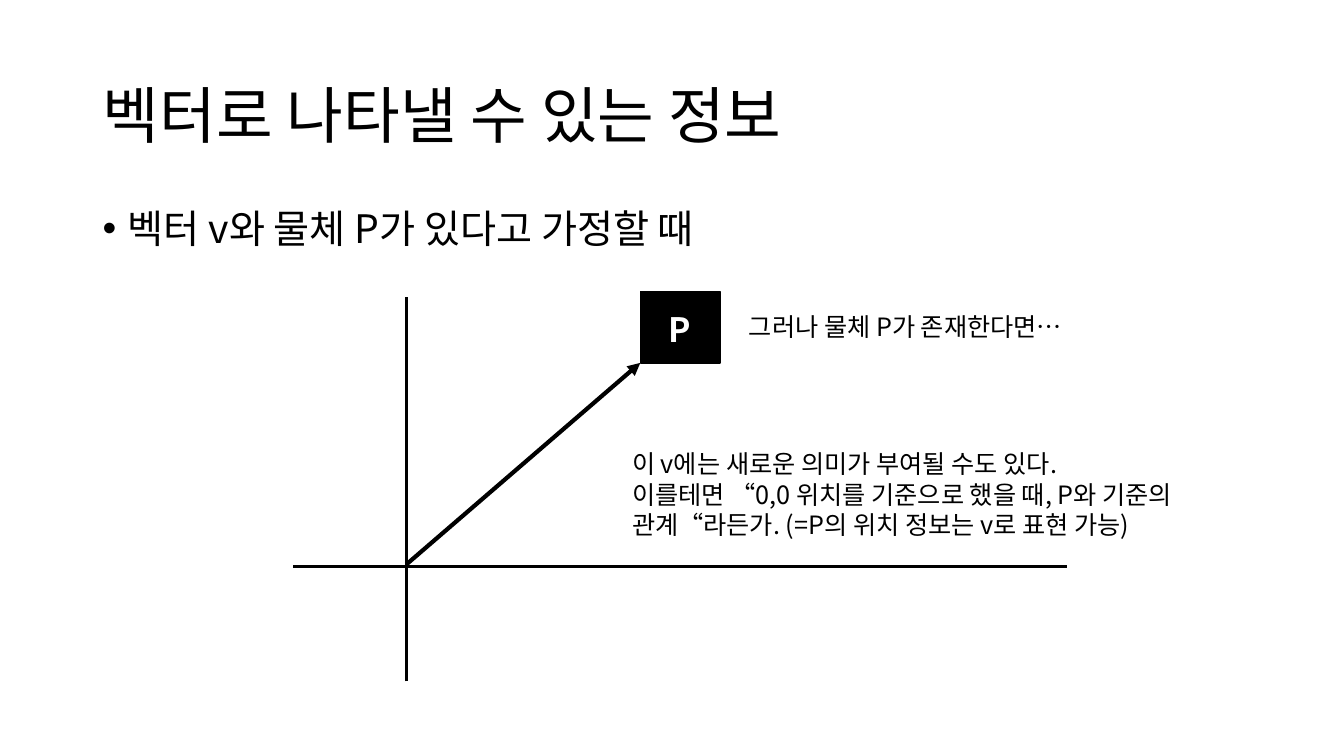
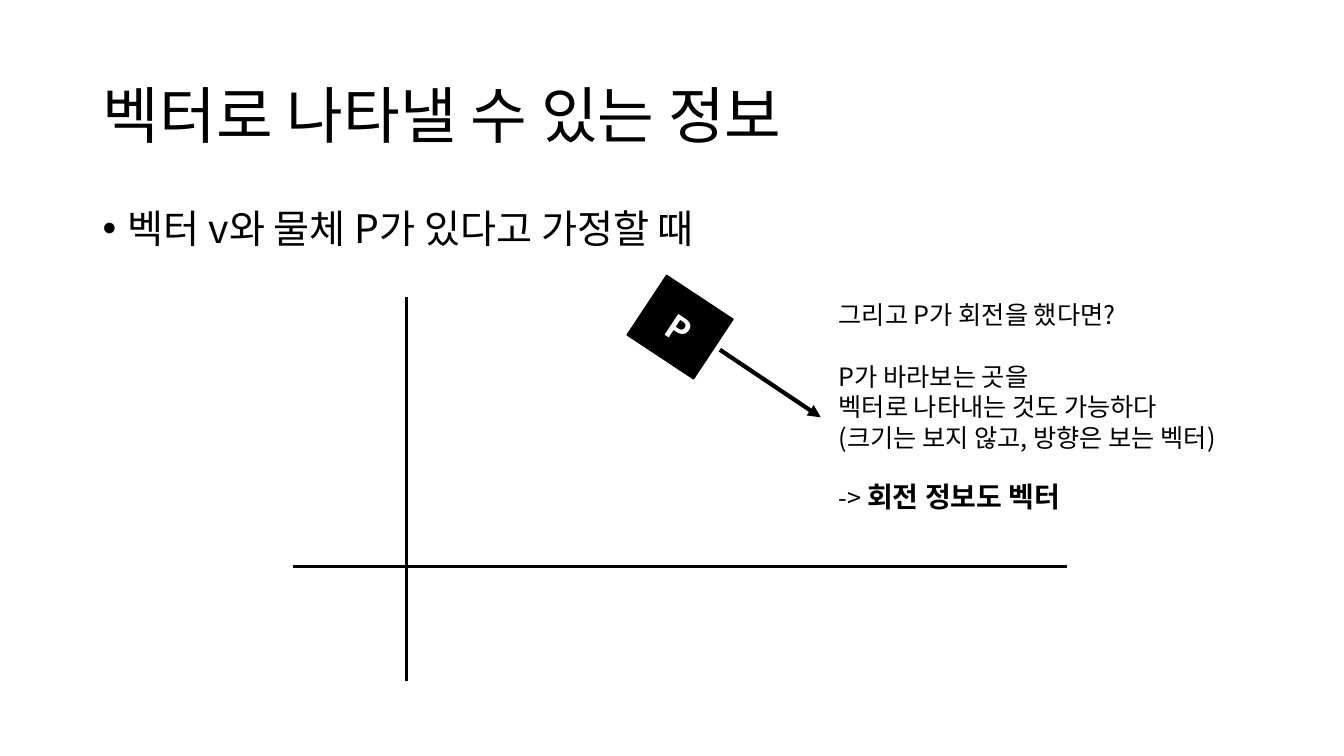
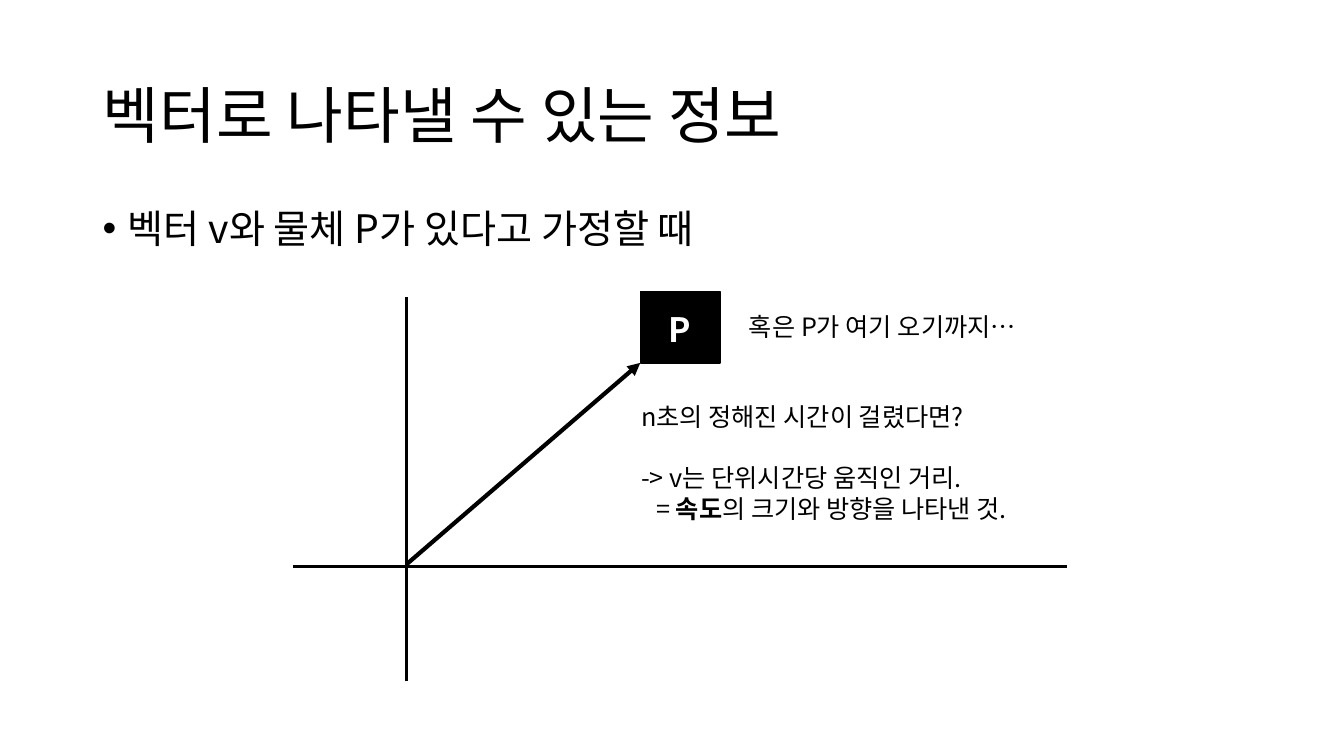
import pptx
import pptx.util
import pptx.dml.color
import pptx.enum.shapes
import pptx.enum.text
import pptx.oxml.ns
import lxml.etree

Inches = pptx.util.Inches
Pt = pptx.util.Pt
BLACK = pptx.dml.color.RGBColor(0, 0, 0)
WHITE = pptx.dml.color.RGBColor(255, 255, 255)
FONT = "Noto Sans CJK KR"
TITLE = "벡터로 나타낼 수 있는 정보"
LEAD = "벡터 v와 물체 P가 있다고 가정할 때"
ALIGN = pptx.enum.text.PP_ALIGN
ANCHOR = pptx.enum.text.MSO_ANCHOR
GAP = 22


def node(parent, tag, **attrs):
    return lxml.etree.SubElement(parent, pptx.oxml.ns.qn(tag), **attrs)


class Deck:
    """Holds the shared style and the current slide."""

    def __init__(self):
        self.prs = pptx.Presentation()
        self.prs.slide_width = Inches(13.33)
        self.prs.slide_height = Inches(7.5)
        self.slide = None

    def style(self, para, size, pitch, color=BLACK, bold=False):
        para.line_spacing = Pt(pitch)
        for run in para.runs:
            font = run.font
            font.name, font.size, font.bold = FONT, Pt(size), bold
            font.color.rgb = color
            node(font._element, "a:ea", typeface=FONT)

    def place(self, shape, left, top, width, height):
        shape.left, shape.top = Inches(left), Inches(top)
        shape.width, shape.height = Inches(width), Inches(height)

    def start(self):
        self.slide = self.prs.slides.add_slide(self.prs.slide_layouts[5])
        title = self.slide.shapes.title
        self.place(title, 0.92, 0.4, 11.5, 1.45)
        frame = title.text_frame
        frame.text = TITLE
        frame.vertical_anchor = ANCHOR.MIDDLE
        para = frame.paragraphs[0]
        para.alignment = ALIGN.LEFT
        self.style(para, 44, 54)
        self.bullet(LEAD)
        self.line((2.91, 5.62), (10.58, 5.62))
        self.line((4.03, 6.76), (4.03, 2.95))

    def frame(self, left, top, width, height):
        box = self.slide.shapes.add_textbox(
            Inches(left), Inches(top), Inches(width), Inches(height))
        box.text_frame.word_wrap = True
        return box.text_frame

    def bullet(self, text):
        frame = self.frame(0.92, 2, 11.5, 4.76)
        frame.text = text
        para = frame.paragraphs[0]
        self.style(para, 28, 32)
        props = para._p.get_or_add_pPr()
        props.set("marL", str(Inches(0.25)))
        props.set("indent", str(Inches(-0.25)))
        node(props, "a:buFont", typeface="Arial")
        node(props, "a:buChar", char="•")

    def line(self, start, end, width=2.25, arrow=False):
        line = self.slide.shapes.add_connector(
            pptx.enum.shapes.MSO_CONNECTOR.STRAIGHT,
            *(Inches(value) for value in start + end))
        line.line.color.rgb = BLACK
        line.line.width = Pt(width)
        if arrow:
            node(line.line._get_or_add_ln(), "a:tailEnd", type="triangle")
        node(line._element.spPr, "a:effectLst")

    def arrow(self, start, end):
        self.line(start, end, 3, True)

    def body(self, turn=0):
        box = self.slide.shapes.add_shape(
            pptx.enum.shapes.MSO_SHAPE.RECTANGLE,
            Inches(6.35), Inches(2.89), Inches(0.79), Inches(0.71))
        box.shadow.inherit = False
        box.rotation = turn
        box.fill.solid()
        box.fill.fore_color.rgb = BLACK
        box.line.color.rgb = BLACK
        box.line.width = Pt(1)
        frame = box.text_frame
        frame.text = "P"
        frame.vertical_anchor = ANCHOR.MIDDLE
        para = frame.paragraphs[0]
        para.alignment = ALIGN.CENTER
        self.style(para, 24, 31, WHITE, True)

    def note(self, place, *lines):
        frame = self.frame(*place)
        frame.text = "\n".join(lines)
        for para in frame.paragraphs:
            self.style(para, 18, 21.8)
        return frame.paragraphs

    def strong(self, para, word, size=18):
        head, tail = para.text.split(word)
        para.clear()
        for part in filter(None, (head, word, tail)):
            para.add_run().text = part
        self.style(para, 18, 21.8)
        for run in para.runs:
            if run.text == word:
                run.font.bold, run.font.size = True, Pt(size)

    def move(self):
        self.arrow((4.03, 5.6), (6.35, 3.6))
        self.body()

    def save(self):
        self.prs.save("out.pptx")


def main():
    deck = Deck()
    label = (7.33, 3.04, 6.25, 0.4)

    deck.start()
    deck.move()
    deck.note((6.17, 4.4, 6.25, 1.01),
              "이 v에는 새로운 의미가 부여될 수도 있다.",
              "이를테면 “0,0 위치를 기준으로 했을 때, P와 기준의 관계“라든가. "
              "(=P의 위치 정보는 v로 표현 가능)")
    deck.note(label, "그러나 물체 P가 존재한다면…")

    deck.start()
    deck.arrow((7.14, 3.47), (8.14, 4.14))
    deck.body(33.5)
    paras = deck.note((8.22, 2.92, 4.39, 2.26),
                      "그리고 P가 회전을 했다면?",
                      "P가 바라보는 곳을",
                      "벡터로 나타내는 것도 가능하다",
                      "(크기는 보지 않고, 방향은 보는 벡터)",
                      "-> 회전 정보도 벡터")
    paras[1].space_before = paras[4].space_before = Pt(GAP)
    deck.strong(paras[4], "회전 정보도 벡터", 20)

    deck.start()
    deck.move()
    paras = deck.note((6.26, 3.93, 6.25, 1.31),
                      "n초의 정해진 시간이 걸렸다면?",
                      "-> v는 단위시간당 움직인 거리.",
                      "= 속도의 크기와 방향을 나타낸 것.")
    paras[1].space_before = Pt(GAP)
    deck.strong(paras[2], "속도")
    paras[2]._p.get_or_add_pPr().set("marL", str(Inches(0.15)))
    deck.note(label, "혹은 P가 여기 오기까지…")

    deck.save()


if __name__ == "__main__":
    main()
